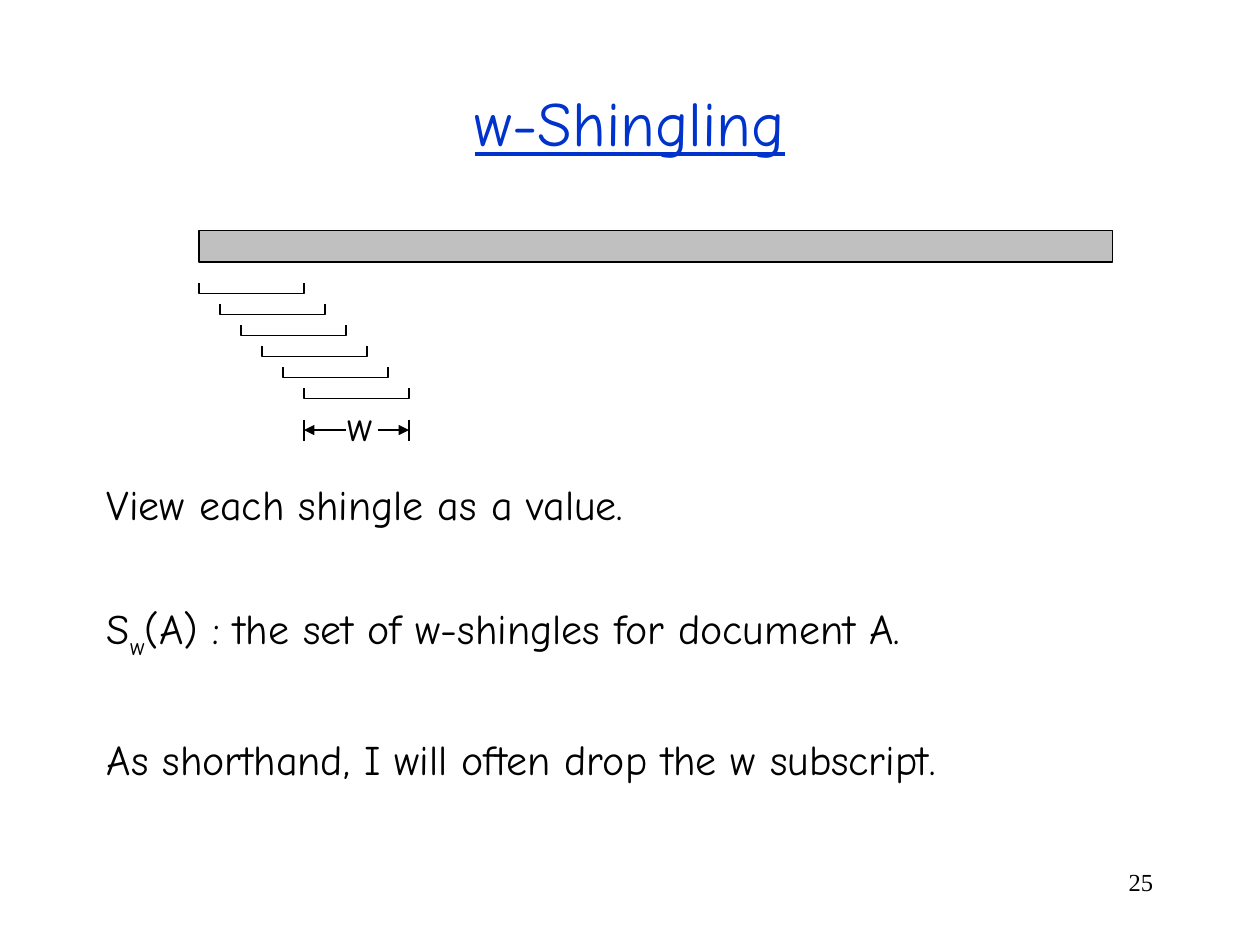
from lxml import etree
from pptx import Presentation
from pptx.dml.color import RGBColor
from pptx.enum import shapes, text
from pptx.oxml.ns import qn
from pptx.util import Inches, Pt

BLACK = "000000"
HAND_FONT = "Comic Neue"
STEP = 1 / 6
WINDOW = 5 * STEP
SHINGLES = 6


def color(value):
    return RGBColor.from_string(value)


def set_line(shape):
    shape.line.color.rgb = color(BLACK)
    shape.line.width = Pt(0.75)


def style(paragraph, size, font=HAND_FONT, fill=BLACK):
    paragraph.font.size = Pt(size)
    paragraph.font.name = font
    paragraph.font.color.rgb = color(fill)


def add_text_frame(slide, left, top, width, height, wrap=True):
    box = slide.shapes.add_textbox(Inches(left), Inches(top), Inches(width), Inches(height))
    box.text_frame.word_wrap = wrap
    return box.text_frame


def add_title(slide, left, top, width, height):
    frame = add_text_frame(slide, left, top, width, height)
    frame.vertical_anchor = text.MSO_ANCHOR.MIDDLE
    paragraph = frame.paragraphs[0]
    paragraph.text = "w-Shingling"
    paragraph.alignment = text.PP_ALIGN.CENTER
    paragraph.font.underline = True
    style(paragraph, 36, fill="0033CC")


def add_body(slide, left, top, width, height):
    frame = add_text_frame(slide, left, top, width, height)
    lines = [
        ["View each shingle as a value."],
        ["S", "w", "(A) : the set of w-shingles for document A."],
        ["As shorthand, I will often drop the w subscript."],
    ]
    for index, parts in enumerate(lines):
        paragraph = frame.add_paragraph() if index else frame.paragraphs[0]
        paragraph.space_before = Pt(42 if index else 6)
        style(paragraph, 24)
        for part in parts:
            run = paragraph.add_run()
            run.text = part
            if part == "w":
                run.font._element.set("baseline", "-25000")


def add_bracket(slide, left, top, width, height):
    right, bottom = left + width, top + height
    builder = slide.shapes.build_freeform(Inches(left), Inches(top))
    corners = [(left, bottom), (right, bottom), (right, top)]
    builder.add_line_segments([(Inches(x), Inches(y)) for x, y in corners], close=False)
    bracket = builder.convert_to_shape()
    bracket.shadow.inherit = False
    bracket.fill.background()
    set_line(bracket)


def add_line(slide, x1, y1, x2, y2, arrow=False):
    line = slide.shapes.add_connector(
        shapes.MSO_CONNECTOR.STRAIGHT, Inches(x1), Inches(y1), Inches(x2), Inches(y2)
    )
    set_line(line)
    if arrow:
        etree.SubElement(line.line._get_or_add_ln(), qn("a:tailEnd"), type="triangle")
    etree.SubElement(line._element.spPr, qn("a:effectLst"))


def add_width_marker(slide, left, top, width, height):
    right, middle = left + width, top + height / 2
    for x in (left, right):
        add_line(slide, x, top, x, top + height)
    frame = add_text_frame(slide, left + 0.25, middle - 0.29, 0.4, 0.5, wrap=False)
    frame.text = "w"
    style(frame.paragraphs[0], 24)
    add_line(slide, right - 0.25, middle, right, middle, arrow=True)
    add_line(slide, left + 0.33, middle, left, middle, arrow=True)


def add_shingle_diagram(slide, left, top, width):
    document = slide.shapes.add_shape(
        shapes.MSO_SHAPE.RECTANGLE, Inches(left), Inches(top), Inches(width), Inches(0.25)
    )
    document.shadow.inherit = False
    document.fill.solid()
    document.fill.fore_color.rgb = color("C0C0C0")
    set_line(document)
    first_top = top + 2.5 * STEP
    for index in range(SHINGLES):
        offset = index * STEP
        add_bracket(slide, left + offset, first_top + offset, WINDOW, STEP / 2)
    add_width_marker(slide, left + 5 * STEP, top + 1.5, WINDOW, STEP)


def add_page_number(slide, left, top, width, height):
    paragraph = add_text_frame(slide, left, top, width, height).paragraphs[0]
    paragraph.text = "25"
    paragraph.alignment = text.PP_ALIGN.RIGHT
    style(paragraph, 14, font="Times New Roman")


def main():
    presentation = Presentation()
    presentation.slide_width = Inches(10)
    presentation.slide_height = Inches(7.5)
    slide = presentation.slides.add_slide(presentation.slide_layouts[6])
    add_title(slide, 0.75, 0.5, 8.5, 0.92)
    add_body(slide, 0.75, 3.75, 8.5, 2.92)
    add_shingle_diagram(slide, 1.58, 1.83, 7.25)
    add_page_number(slide, 7.17, 6.83, 2.08, 0.5)
    presentation.save("out.pptx")


if __name__ == "__main__":
    main()
